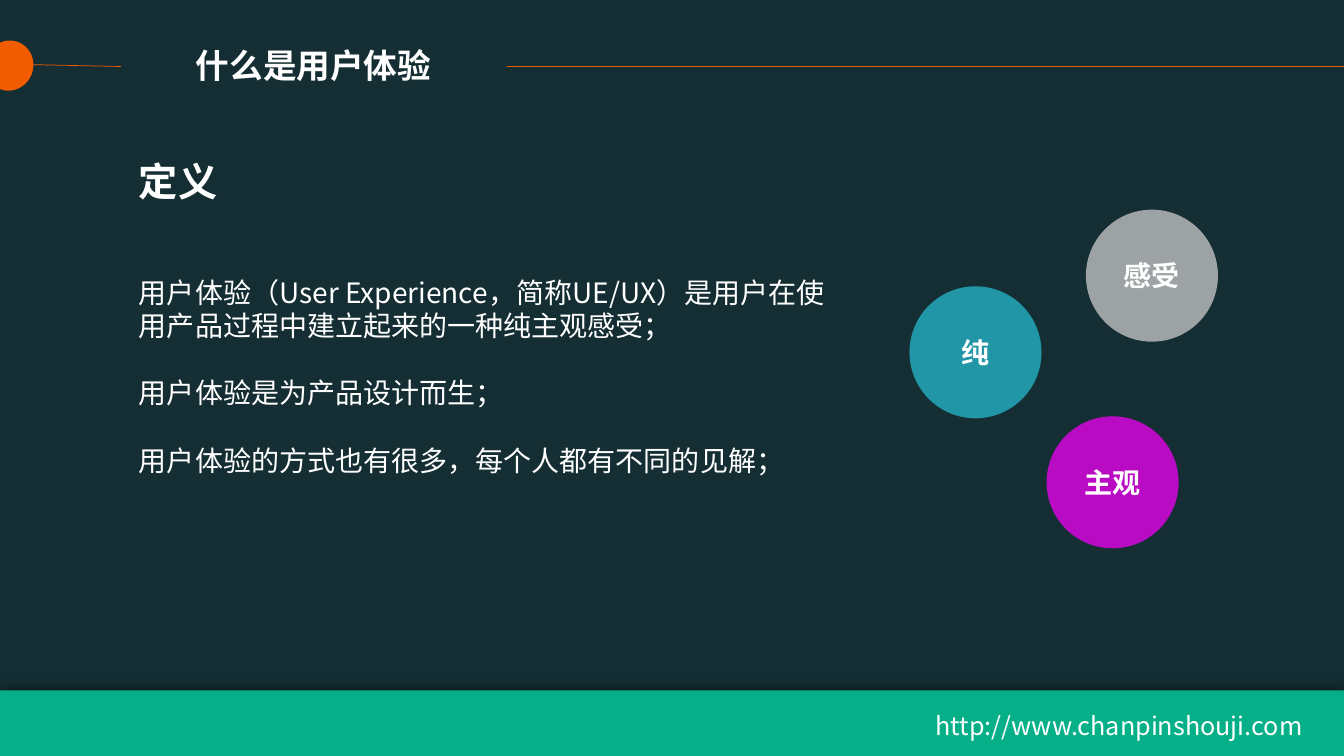
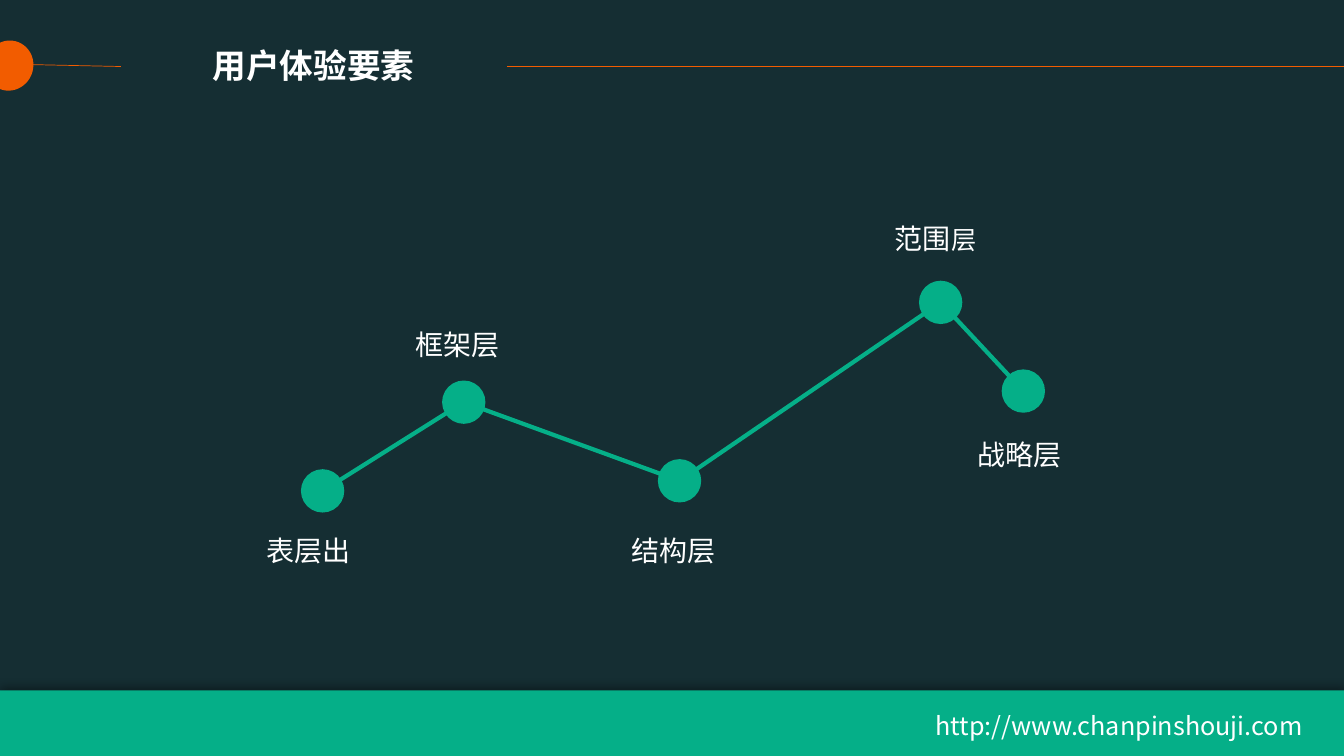
from itertools import pairwise

from lxml import etree
from pptx import Presentation
from pptx import util as u
from pptx.dml import color
from pptx.enum import shapes, text
from pptx.oxml import ns

FONT = "Noto Sans CJK SC"
BACKGROUND, GREEN, ORANGE, WHITE = "152E33", "05AF88", "F25C00", "FFFFFF"
WIDTH, HEIGHT = 13.33, 7.5
CIRCLE, NODE = 1.31, 0.43
URL = "http://www.chanpinshouji.com"
LEFT, CENTER = text.PP_ALIGN.LEFT, text.PP_ALIGN.CENTER


def rgb(value):
    """Turn a hex string into a colour."""
    return color.RGBColor.from_string(value)


def child(parent, tag, **attributes):
    """Append a drawing element to a parent and return it."""
    return etree.SubElement(parent, ns.qn(tag), attributes)


def add_shape(slide, kind, box, fill, opacity=None):
    """Add a filled preset shape without outline or shadow."""
    shape = slide.shapes.add_shape(kind, *map(u.Inches, box))
    shape.shadow.inherit = False
    shape.fill.solid()
    shape.fill.fore_color.rgb = rgb(fill)
    shape.line.fill.background()
    if opacity:
        tint = shape._element.spPr.find(".//" + ns.qn("a:srgbClr"))
        child(tint, "a:alpha", val=str(opacity * 1000))
    return shape


def add_line(slide, start, end, line_color, weight):
    """Add a straight line between two points."""
    line = slide.shapes.add_connector(
        shapes.MSO_CONNECTOR.STRAIGHT, *map(u.Inches, (*start, *end)))
    line.line.color.rgb = rgb(line_color)
    line.line.width = u.Pt(weight)
    child(line._element.spPr, "a:effectLst")


def add_run(paragraph, words, size, bold=False):
    """Add one white run to a paragraph."""
    run = paragraph.add_run()
    run.text = words
    run.font.name = FONT
    run.font.size = u.Pt(size)
    run.font.bold = bold
    run.font.color.rgb = rgb(WHITE)
    child(run._r.get_or_add_rPr(), "a:ea", typeface=FONT)


def add_text(slide, box, paragraphs, align=LEFT, bold=False, gap=0):
    """Add a wrapped text box of paragraphs, each a list of (words, size) runs."""
    shape = slide.shapes.add_textbox(*map(u.Inches, box))
    frame = shape.text_frame
    frame.word_wrap = True
    frame.auto_size = text.MSO_AUTO_SIZE.SHAPE_TO_FIT_TEXT
    for index, runs in enumerate(paragraphs):
        paragraph = frame.add_paragraph() if index else frame.paragraphs[0]
        paragraph.alignment = align
        if index and gap:
            paragraph.space_before = u.Pt(gap)
        for words, size in runs:
            add_run(paragraph, words, size, bold)


def add_footer(slide, box):
    """Draw the green band with its upward shadow and the web address."""
    left, top, width, height = box
    band = add_shape(slide, shapes.MSO_SHAPE.RECTANGLE, box, GREEN)
    effects = band._element.spPr.find(ns.qn("a:effectLst"))
    shadow = child(effects, "a:outerShdw", blurRad=str(u.Pt(6)),
                   dist=str(u.Pt(3)), dir="16200000", rotWithShape="0")
    child(child(shadow, "a:srgbClr", val="000000"), "a:alpha", val="40000")
    add_text(slide, (left + 9.18, top + 0.15, width - 9.18, 0.4), [[(URL, 18)]])


def add_header(slide, box, title):
    """Draw the orange marker, the rules and the title between them."""
    left, top, width, height = box
    marker = add_shape(slide, shapes.MSO_SHAPE.CHORD,
                       (left - 0.15, top, 0.48, height), ORANGE)
    marker.rotation = 202.1
    rule = top + 0.26
    add_line(slide, (left + 5.03, rule), (left + width, rule), ORANGE, 0.5)
    add_line(slide, (left + 0.26, rule - 0.02), (left + 1.2, rule), ORANGE, 0.5)
    add_text(slide, (left + 1.22, top, 3.78, height), [[(title, 24)]], CENTER, True)


def add_page(presentation, title):
    """Add a blank slide with the shared background, footer and header."""
    slide = presentation.slides.add_slide(presentation.slide_layouts[6])
    slide.background.fill.solid()
    slide.background.fill.fore_color.rgb = rgb(BACKGROUND)
    add_footer(slide, (0, 6.85, WIDTH, 0.65))
    add_header(slide, (0, 0.4, WIDTH, 0.5), title)
    return slide


def add_definition(slide, box, heading, statements):
    """Place a heading above spaced statements."""
    left, top, width, height = box
    add_text(slide, (left, top, 1.48, 0.57), [[(heading, 28)]], bold=True)
    add_text(slide, (left, top + 1.17, width, height - 1.17),
             [[(statement, 20)] for statement in statements], gap=24)


def add_circles(slide, box, circles):
    """Place translucent labelled circles at offsets within the box."""
    for x, y, fill, label in circles:
        place = (box[0] + x, box[1] + y, CIRCLE, CIRCLE)
        circle = add_shape(slide, shapes.MSO_SHAPE.OVAL, place, fill, 76)
        frame = circle.text_frame
        frame.vertical_anchor = text.MSO_ANCHOR.MIDDLE
        frame.paragraphs[0].alignment = CENTER
        add_run(frame.paragraphs[0], label, 20, True)


def add_layers(slide, box, layers):
    """Join the layer nodes by lines and label each one."""
    left, top = box[:2]
    centers = [(left + x, top + y) for x, y, *_ in layers]
    for start, end in pairwise(centers):
        add_line(slide, start, end, GREEN, 3)
    for (x, y), (_, _, shift, drop, runs) in zip(centers, layers):
        add_shape(slide, shapes.MSO_SHAPE.OVAL,
                  (x - NODE / 2, y - NODE / 2, NODE, NODE), GREEN)
        add_text(slide, (x + shift - 0.82, y + drop, 1.64, 0.44), [runs], CENTER)


def build_definition_slide(presentation):
    """Build the slide that defines user experience."""
    slide = add_page(presentation, "什么是用户体验")
    add_definition(slide, (1.28, 1.51, 7.18, 3.29), "定义", [
        "用户体验（User Experience，简称UE/UX）是用户在使用产品过程中建立起来的一种纯主观感受；",
        "用户体验是为产品设计而生；",
        "用户体验的方式也有很多，每个人都有不同的见解；",
    ])
    add_circles(slide, (9.02, 2.08, 3.06, 3.36), [
        (0, 0.76, "26B7CC", "纯"),
        (1.36, 2.05, "EE00F2", "主观"),
        (1.75, 0, "C9C9C9", "感受"),
    ])


def build_layers_slide(presentation):
    """Build the slide that shows the layers of user experience."""
    slide = add_page(presentation, "用户体验要素")
    add_layers(slide, (2.99, 2.79, 7.38, 2.29), [
        (0.21, 2.08, -0.14, 0.37, [("表层出", 20)]),
        (1.61, 1.2, -0.06, -0.79, [("框架层", 20)]),
        (3.75, 1.98, -0.06, 0.47, [("结构层", 20)]),
        (6.34, 0.21, -0.05, -0.85, [("范围", 20), ("层", 18)]),
        (7.16, 1.09, -0.04, 0.41, [("战略层", 20)]),
    ])


def main():
    """Build and save the presentation."""
    presentation = Presentation()
    presentation.slide_width = u.Inches(WIDTH)
    presentation.slide_height = u.Inches(HEIGHT)
    build_definition_slide(presentation)
    build_layers_slide(presentation)
    presentation.save("out.pptx")


if __name__ == "__main__":
    main()
